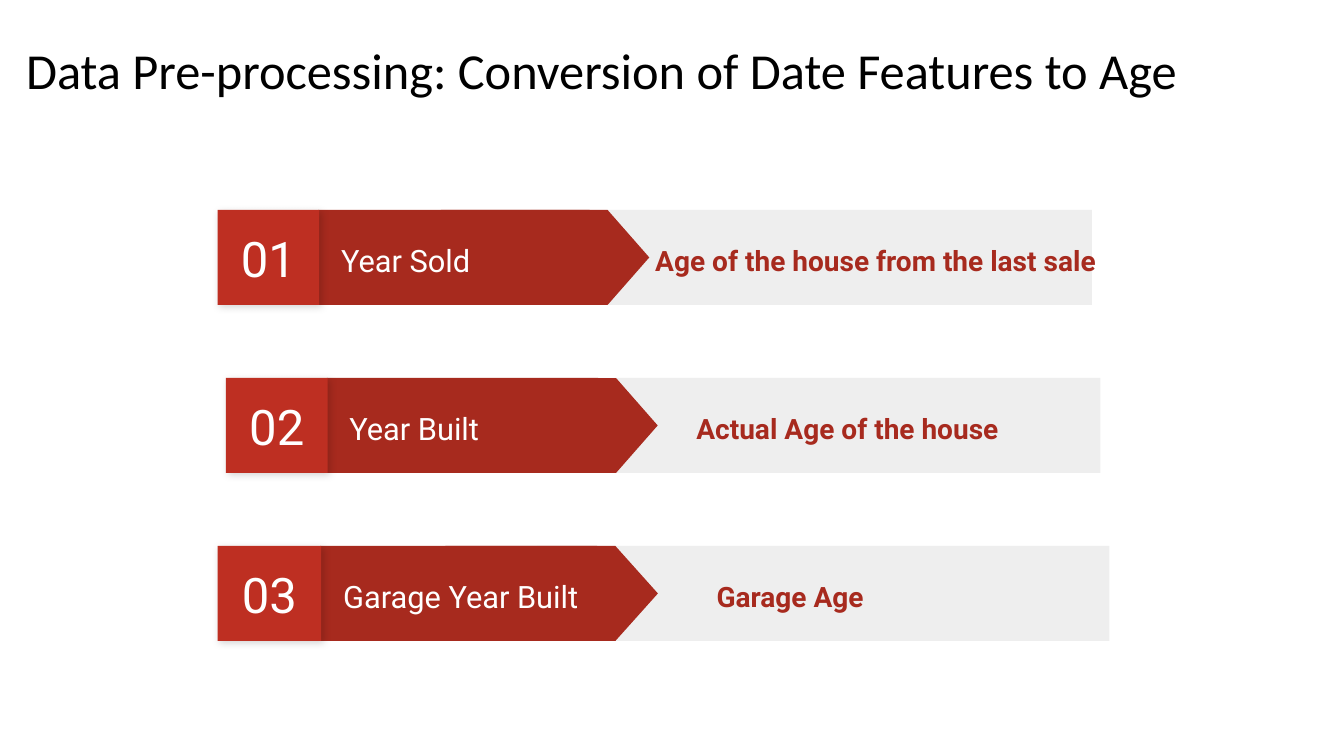
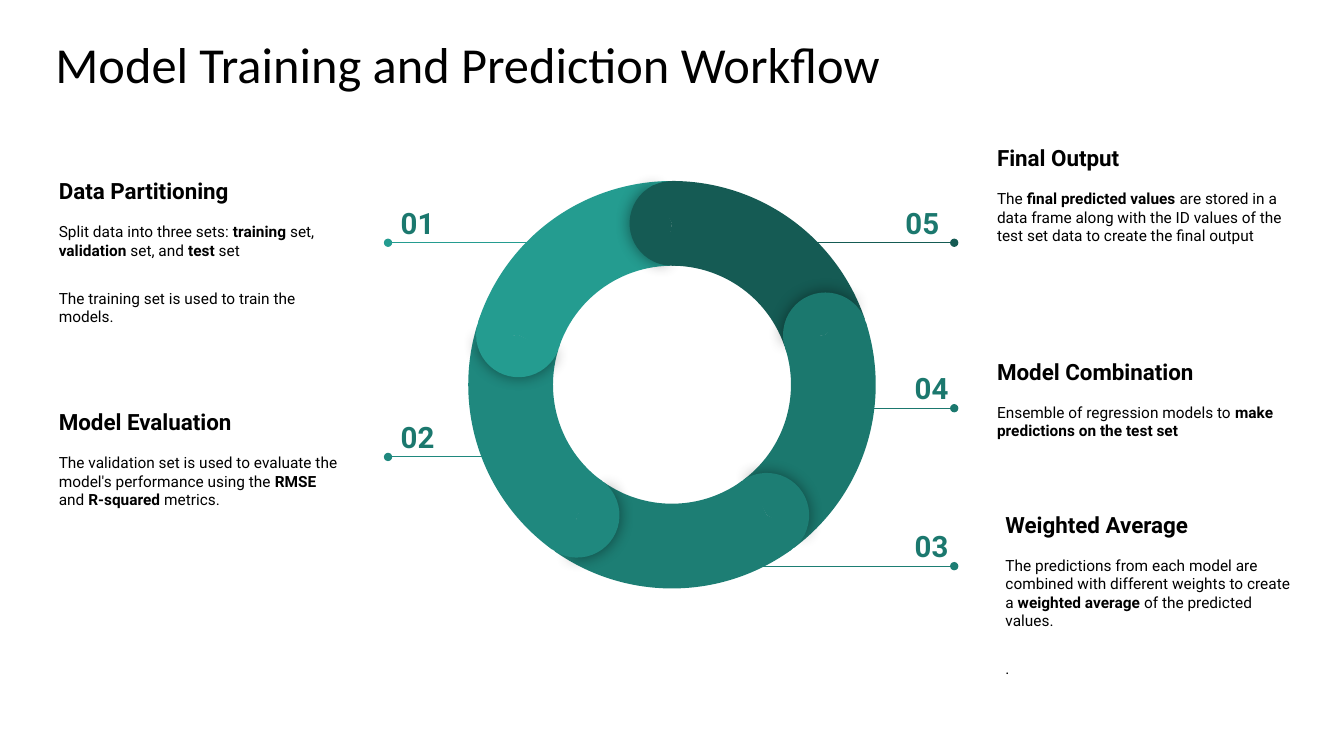
"""Build two slides: date features as arrow rows, and a model workflow ring."""
import math

from lxml import etree
from pptx import Presentation
from pptx import util as u
from pptx.dml import color as c
from pptx.enum import shapes as s
from pptx.enum import text as t
from pptx.oxml import ns

COLORS = {
    "black": "000000", "white": "FFFFFF",
    "panel": "EEEEEE", "red": "A72A1E", "number": "BE2F22",
    "01": "249C90", "02": "1F887E", "03": "1D7E74", "04": "1B786E", "05": "155B54",
}
COLUMNS = 16
SLIDE_WIDTH, SLIDE_HEIGHT = u.Inches(13.3333), u.Inches(7.5)
CELL = SLIDE_WIDTH / COLUMNS
INSET = 0.16

ROW_TOP, ROW_STEP, ROW_HEIGHT = 2.5, 2, 1.13
DATE_ROWS = [
    ("01", "Year Sold", "Age of the house from the last sale", 2.59, 1, 0),
    ("02", "Year Built", "Actual Age of the house", 2.69, 1, 0.49),
    ("03", "Garage Year Built", "Garage Age", 2.59, 1.02, 0.73),
]

RING_X, RING_Y, RING_SIZE, BAND_SHARE = 8, 4.58, 4.85, 0.208
STEPS = [
    ("01", 6.77, 4.62, 2.89, 4.61, 0.54, 1.95, "Data Partitioning",
     ["Split data into three sets: **training** set, **validation** set, and **test** set",
      "The training set is used to train the models."]),
    ("02", 6.25, 4.62, 5.44, 4.61, 0.54, 4.7, "Model Evaluation",
     ["The validation set is used to evaluate the model's performance using the "
      "**RMSE** and **R-squared** metrics."]),
    ("03", 8.15, 11.36, 6.74, 10.73, 11.81, 5.92, "Weighted Average",
     ["The predictions from each model are combined with different weights to create a "
      "**weighted average** of the predicted values.", "."]),
    ("04", 9.82, 11.36, 4.86, 10.73, 11.71, 4.1, "Model Combination",
     ["Ensemble of regression models to **make predictions on the test set**"]),
    ("05", 9.12, 11.36, 2.89, 10.62, 11.71, 1.56, "Final Output",
     ["The **final predicted values** are stored in a data frame along with the ID values "
      "of the test set data to create the final output"]),
]


def cells(*values):
    return [u.Emu(round(value * CELL)) for value in values]


def rgb(name):
    return c.RGBColor.from_string(COLORS[name])


def write(frame, text, size=11, color="black", font="Roboto", bold=False,
          align=t.PP_ALIGN.LEFT, spacing=1, before=0, after=0, indent=0):
    paragraph = frame.add_paragraph() if frame.text else frame.paragraphs[0]
    paragraph.alignment, paragraph.line_spacing = align, spacing
    paragraph.space_before, paragraph.space_after = u.Pt(before), u.Pt(after)
    if indent:
        paragraph._p.get_or_add_pPr().set("marL", str(cells(indent)[0]))
    for index, part in enumerate(text.split("**")):
        if part:
            run = paragraph.add_run()
            run.text = part
            run.font.name, run.font.size = font, u.Pt(size)
            run.font.bold = bold or index % 2 == 1
            run.font.color.rgb = rgb(color)


def prepare_frame(shape, anchor):
    frame = shape.text_frame
    frame.word_wrap, frame.auto_size = True, t.MSO_AUTO_SIZE.NONE
    frame.vertical_anchor = anchor
    inset, = cells(INSET)
    frame.margin_left = frame.margin_right = inset
    frame.margin_top = frame.margin_bottom = inset
    return frame


def add_text_box(slide, box, anchor=t.MSO_ANCHOR.TOP):
    return prepare_frame(slide.shapes.add_textbox(*cells(*box)), anchor)


def add_title_slide(presentation, title, box):
    layout = presentation.slide_layouts.get_by_name("Title Only")
    slide = presentation.slides.add_slide(layout)
    shape = slide.shapes.title
    shape.left, shape.top, shape.width, shape.height = cells(*box)
    frame = shape.text_frame
    frame.word_wrap, frame.auto_size = True, t.MSO_AUTO_SIZE.NONE
    frame.vertical_anchor = t.MSO_ANCHOR.MIDDLE
    write(frame, title, size=36, font="Calibri", spacing=0.9)
    return slide


def add_shadow(shape, opacity, blur, distance=0, direction=0):
    effects = shape._element.spPr.find(ns.qn("a:effectLst"))
    shadow = etree.SubElement(
        effects, ns.qn("a:outerShdw"), blurRad=str(u.Pt(blur)), dist=str(u.Pt(distance)),
        dir=str(direction * 60000), algn="ctr", rotWithShape="0")
    color = etree.SubElement(shadow, ns.qn("a:srgbClr"), val=COLORS["black"])
    etree.SubElement(color, ns.qn("a:alpha"), val=str(opacity * 1000))


def add_filled(slide, kind, box, color, rotation=0, adjustments=()):
    shape = slide.shapes.add_shape(kind, *cells(*box))
    shape.shadow.inherit = False
    shape.fill.solid()
    shape.fill.fore_color.rgb = rgb(color)
    shape.line.fill.background()
    shape.rotation = rotation
    for index, value in enumerate(adjustments):
        shape.adjustments[index] = value
    return shape


def add_dot_line(slide, start, end, y, color):
    line = slide.shapes.add_connector(s.MSO_CONNECTOR.STRAIGHT, *cells(start, y, end, y))
    line.line.color.rgb, line.line.width = rgb(color), u.Pt(0.75)
    etree.SubElement(line.line._get_or_add_ln(), ns.qn("a:tailEnd"), type="oval")
    etree.SubElement(line._element.spPr, ns.qn("a:effectLst"))


def add_date_row(slide, top, number, label, answer, left, scale, indent):
    def box(offset, width):
        return left + offset * scale, top, width * scale, ROW_HEIGHT

    rectangle = s.MSO_SHAPE.RECTANGLE
    middle = t.MSO_ANCHOR.MIDDLE
    add_filled(slide, rectangle, box(3.73, 6.68), "panel")
    add_filled(slide, rectangle, box(1.2, 3.23), "red")
    length = 2.48 * scale
    arrow_box = (left + 3.9 * scale - ROW_HEIGHT / 2, top + (ROW_HEIGHT - length) / 2,
                 ROW_HEIGHT, length)
    add_filled(slide, s.MSO_SHAPE.FLOWCHART_OFFPAGE_CONNECTOR, arrow_box, "red", 270)
    write(add_text_box(slide, box(1.31, 3.4), middle), label,
          size=22, color="white", spacing=1.15)
    square = add_filled(slide, rectangle, box(0, 1.21), "number")
    add_shadow(square, 17, 5.6, 2.2, 45)
    write(prepare_frame(square, middle), number,
          size=35, color="white", align=t.PP_ALIGN.CENTER)
    write(add_text_box(slide, (7.64, top, 5.77, ROW_HEIGHT), middle), answer,
          size=20, color="red", bold=True, spacing=1.15, indent=indent)


def add_ring(slide, colors):
    turn = 360 / len(colors)
    cap = RING_SIZE * BAND_SHARE
    radius = (RING_SIZE - cap) / 2
    ring_box = (RING_X - RING_SIZE / 2, RING_Y - RING_SIZE / 2, RING_SIZE, RING_SIZE)
    for index, color in enumerate(colors):
        add_filled(slide, s.MSO_SHAPE.BLOCK_ARC, ring_box, color, 60 + turn * index,
                   (126.03, 168.68, BAND_SHARE))
    for index, color in enumerate(colors):
        angle = math.radians(turn * index - 90)
        cap_box = (RING_X + radius * math.cos(angle) - cap / 2,
                   RING_Y + radius * math.sin(angle) - cap / 2, cap, cap)
        back = add_filled(slide, s.MSO_SHAPE.PIE, cap_box, color,
                          (turn * index - 4.5) % 360, (61.9, 149.96))
        add_shadow(back, 43, 11.2)
        add_filled(slide, s.MSO_SHAPE.PIE, cap_box, color,
                   (turn * index + 175) % 360, (40.28, 171.84))


def add_step(slide, number, start, end, y, number_left, left, top, heading, paragraphs):
    add_dot_line(slide, start, end, y, number)
    write(add_text_box(slide, (number_left, y - 0.61, 0.89, 0.47)), number,
          size=21, color="04", bold=True)
    frame = add_text_box(slide, (left, top, 3.72, 2.28))
    write(frame, heading, size=16, bold=True, after=13)
    for index, text in enumerate(paragraphs):
        write(frame, text, before=21 if index else 0)


def main():
    presentation = Presentation()
    presentation.slide_width, presentation.slide_height = SLIDE_WIDTH, SLIDE_HEIGHT

    slide = add_title_slide(
        presentation, "Data Pre-processing: Conversion of Date Features to Age",
        (0.19, 0, 15.6, 1.74))
    for index, row in enumerate(DATE_ROWS):
        add_date_row(slide, ROW_TOP + index * ROW_STEP, *row)

    slide = add_title_slide(
        presentation, "Model Training and Prediction Workflow", (0.54, 0.1, 13.8, 1.39))
    for step in STEPS:
        add_step(slide, *step)
    add_ring(slide, [step[0] for step in reversed(STEPS)])

    presentation.save("out.pptx")


if __name__ == "__main__":
    main()
